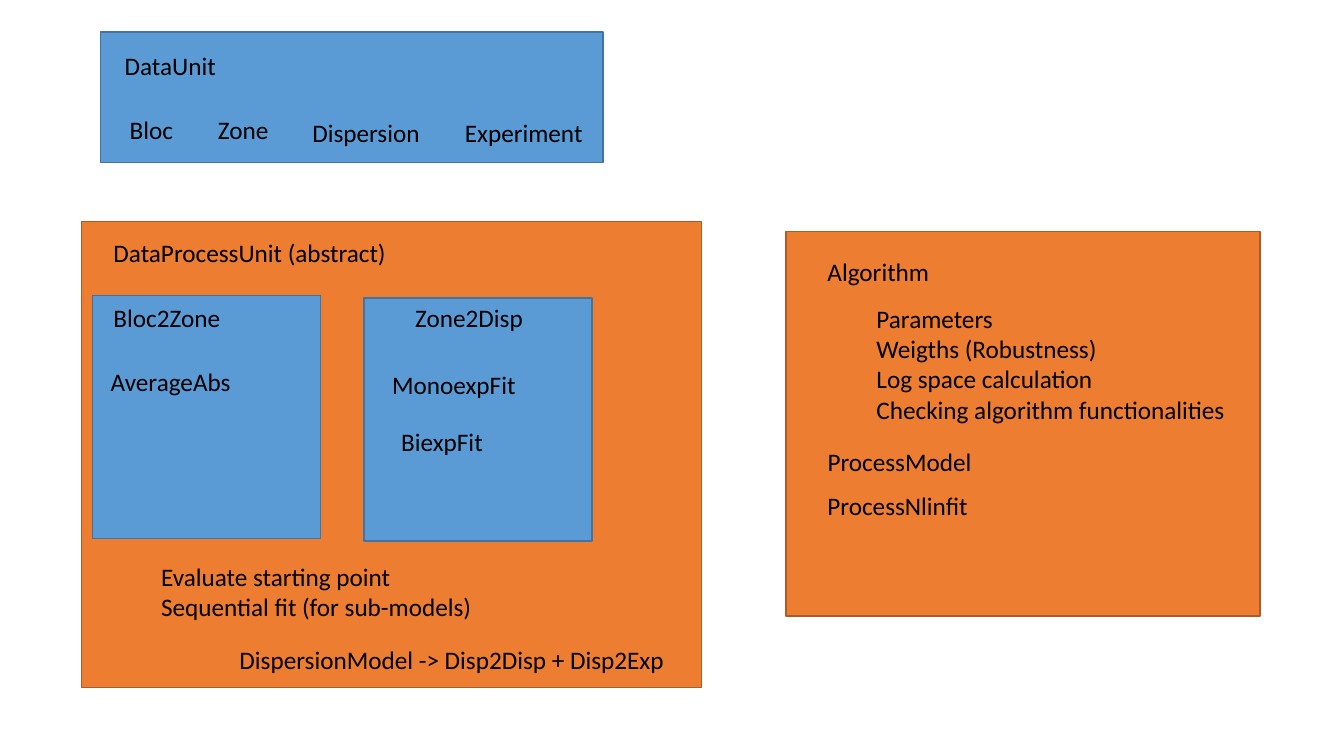
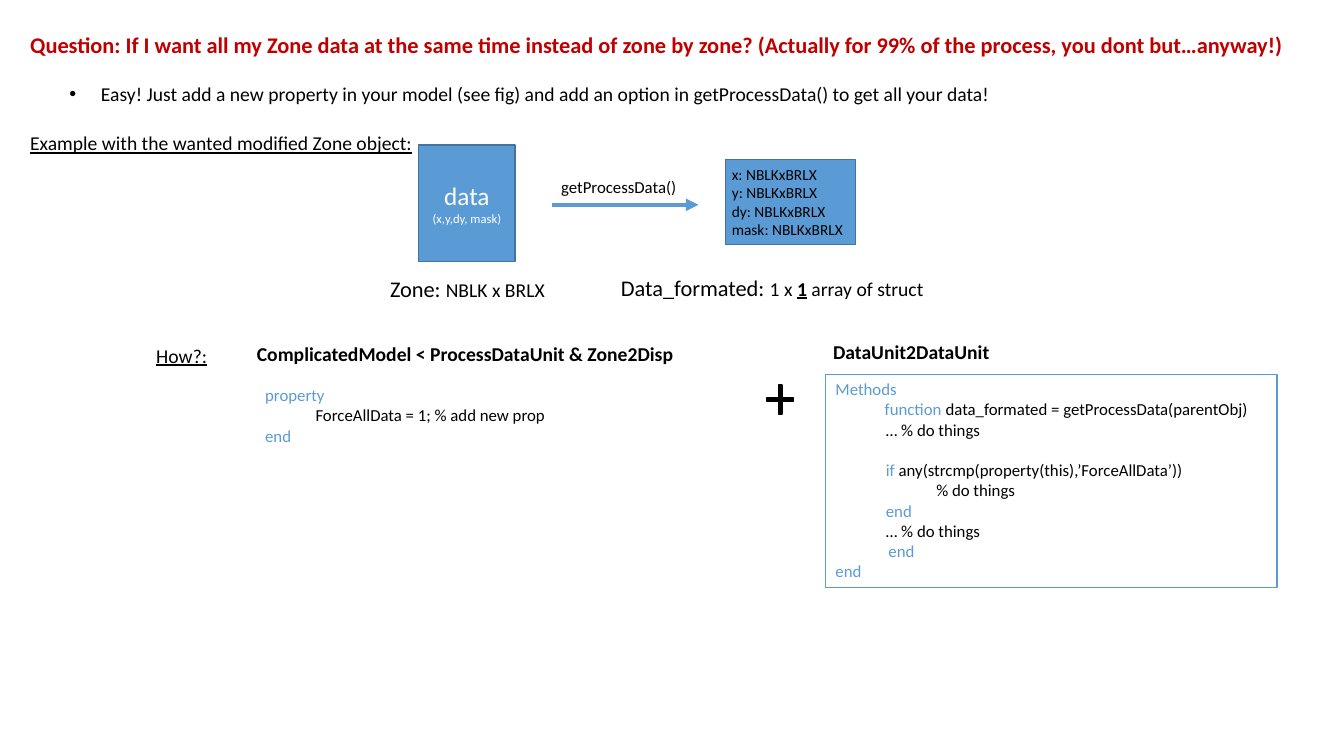
import pptx
import pptx.util
import pptx.dml.color
import pptx.enum.shapes
import pptx.enum.text
import pptx.oxml.ns
import lxml.etree

Pt = pptx.util.Pt
qn = pptx.oxml.ns.qn
SHAPES = pptx.enum.shapes.MSO_SHAPE
ANCHOR = pptx.enum.text.MSO_ANCHOR
ALIGN = pptx.enum.text.PP_ALIGN
FONT = "Calibri"
COLOURS = {
    "blue": "5B9BD5", "navy": "43739E", "orange": "ED7D31", "rust": "AF5C24",
    "red": "C00000", "black": "000000", "white": "FFFFFF",
}
EDGES = {"blue": "navy", "orange": "rust", "black": "black"}


def colour(name):
    return pptx.dml.color.RGBColor.from_string(COLOURS[name])


def style(run, size, ink="black", bold=False, under=False):
    font = run.font
    font.name, font.size = FONT, Pt(size)
    font.bold, font.underline = bold, under
    font.color.rgb = colour(ink)


def indent(para, hang):
    """Give the paragraph a bullet with a hanging indent."""
    props = para._p.get_or_add_pPr()
    props.set("marL", str(Pt(hang)))
    props.set("indent", str(-Pt(hang)))
    lxml.etree.SubElement(props, qn("a:buFont")).set("typeface", "Arial")
    lxml.etree.SubElement(props, qn("a:buChar")).set("char", "•")


def write(frame, text, size=18, align=ALIGN.LEFT, anchor=ANCHOR.TOP, wrap=True,
          hang=None, inset=7.2, gaps=None, **form):
    """Fill a frame: text is a string or a list of paragraphs.

    A paragraph is a string or a list of (string, run format) pairs;
    gaps maps a paragraph's index to the space before it.
    """
    frame.word_wrap = wrap
    frame.auto_size = pptx.enum.text.MSO_AUTO_SIZE.NONE
    frame.vertical_anchor = anchor
    frame.margin_left = frame.margin_right = Pt(inset)
    frame.margin_top = frame.margin_bottom = Pt(3.6)
    for index, line in enumerate([text] if isinstance(text, str) else text):
        para = frame.add_paragraph() if index else frame.paragraphs[0]
        para.alignment = align
        if gaps and index in gaps:
            para.space_before = Pt(gaps[index])
        if hang:
            indent(para, hang)
        for words, extra in [(line, {})] if isinstance(line, str) else line:
            run = para.add_run()
            run.text = words
            style(run, **{"size": size, **form, **extra})


def label(slide, area, text, **form):
    shape = slide.shapes.add_textbox(*map(Pt, area))
    write(shape.text_frame, text, **form)


def box(slide, area, fill="blue", edge=None, width=1, kind=SHAPES.RECTANGLE):
    shape = slide.shapes.add_shape(kind, *map(Pt, area))
    shape.shadow.inherit = False
    if fill:
        shape.fill.solid()
        shape.fill.fore_color.rgb = colour(fill)
    else:
        shape.fill.background()
    shape.line.color.rgb = colour(edge or EDGES[fill])
    shape.line.width = Pt(width)
    return shape


def arrow(slide, left, right, top):
    line = slide.shapes.add_connector(
        pptx.enum.shapes.MSO_CONNECTOR.STRAIGHT, Pt(left), Pt(top), Pt(right), Pt(top))
    line.line.color.rgb = colour("blue")
    line.line.width = Pt(3)
    lxml.etree.SubElement(line.line._get_or_add_ln(), qn("a:tailEnd")).set("type", "triangle")
    lxml.etree.SubElement(line._element.spPr, qn("a:effectLst"))


def title(slide, area, text, **form):
    shape = slide.shapes.title
    shape.left, shape.top, shape.width, shape.height = map(Pt, area)
    write(shape.text_frame, text, **form)


def classes(deck):
    slide = deck.slides.add_slide(deck.slide_layouts[6])
    for area, fill in [
        ((561.6, 165.6, 338.4, 274.5), "orange"),
        ((58.3, 158.4, 442.8, 332.6), "orange"),
        ((66, 211, 163, 173.5), "blue"),
        ((260, 213, 163, 173.5), "blue"),
        ((72, 23, 358.6, 93), "blue"),
    ]:
        box(slide, area, fill)
    for left, top, width, text in [
        (82, 32.5, 80.5, "DataUnit"),
        (85.5, 78, 46, "Bloc"),
        (148.5, 78, 51, "Zone"),
        (216, 80.5, 92, "Dispersion"),
        (325, 80.5, 99.5, "Experiment"),
        (74, 166, 211, "DataProcessUnit (abstract)"),
        (74, 212.5, 91.5, "Bloc2Zone"),
        (72, 258, 101, "AverageAbs"),
        (289.5, 212.5, 92, "Zone2Disp"),
        (273, 260, 103.5, "MonoexpFit"),
        (279.5, 301, 73.5, "BiexpFit"),
        (108, 397.5, 241, ["Evaluate starting point", "Sequential fit (for sub-models)"]),
        (164, 456.5, 321, "DispersionModel -> Disp2Disp + Disp2Exp"),
        (584, 179.5, 88, "Algorithm"),
        (619, 213, 266.5, ["Parameters", "Weigths (Robustness)", "Log space calculation",
                           "Checking algorithm functionalities"]),
        (584, 315.5, 118, "ProcessModel"),
        (584, 347, 116, "ProcessNlinfit"),
    ]:
        count = 1 if isinstance(text, str) else len(text)
        label(slide, (left, top, width, 7 + 22 * count), text, wrap=False)


def question(deck):
    slide = deck.slides.add_slide(deck.slide_layouts[5])
    title(slide, (14.4, 18.7, 940, 26.6),
          "Question: If I want all my Zone data at the same time instead of zone by zone? "
          "(Actually for 99% of the process, you dont but…anyway!)",
          size=16, ink="red", bold=True)
    label(slide, (42.5, 55, 746, 24.5),
          "Easy! Just add a new property in your model (see fig) and add an option in "
          "getProcessData() to get all your data!", size=14, hang=22.5)
    label(slide, (14.4, 90, 290, 24.5), "Example with the wanted modified Zone object:",
          size=14, under=True)

    data = box(slide, (299, 103.5, 69, 83.5))
    write(data.text_frame, [[("data ", {}), ("(x,y,dy, mask)", {"size": 9})]],
          ink="white", align=ALIGN.CENTER, anchor=ANCHOR.MIDDLE)
    label(slide, (271.5, 193, 214.5, 26.6),
          [[("Zone: ", {"size": 16}), ("NBLK x BRLX", {})]], size=14)
    arrow(slide, 394.5, 499, 146.3)
    label(slide, (379, 123, 126, 21.8), "getProcessData()", size=12, align=ALIGN.CENTER)
    struct = box(slide, (518.4, 114, 92.5, 60.5))
    write(struct.text_frame, [f"{name}: NBLKxBRLX" for name in ("x", "y", "dy", "mask")],
          size=11, anchor=ANCHOR.MIDDLE, inset=4.3)
    label(slide, (436.5, 192, 302.5, 26.6),
          [[("Data_formated: ", {"size": 16}), ("1 x ", {}),
            ("1", {"bold": True, "under": True}), (" array of struct", {})]], size=14)

    label(slide, (104.5, 242, 70, 24.5), "How?:", size=14, under=True)
    for left, top, text in [
        (176.4, 240.8, "ComplicatedModel < ProcessDataUnit & Zone2Disp"),
        (588, 239.2, "DataUnit2DataUnit"),
    ]:
        label(slide, (left, top, 360, 24.5), text, size=14, bold=True)
    key = {"ink": "blue"}
    label(slide, (182.3, 271.4, 322.5, 51),
          [[("property", key)], "\tForceAllData = 1; % add new prop", [("end", key)]], size=12)
    plus = box(slide, (544.3, 271.4, 26, 28), "black", kind=SHAPES.MATH_PLUS)
    plus.adjustments[0] = 0.11
    code = box(slide, (589.7, 267.2, 322.5, 152.6), None, "blue", 0.75)
    write(code.text_frame, [
        [("Methods", key)],
        [("             function ", key), ("data_formated = getProcessData(parentObj)", {})],
        "\t… % do things",
        [("\tif ", key), ("any(strcmp(property(this),’ForceAllData’))", {})],
        "\t\t% do things",
        [("\tend", key)],
        "\t… % do things",
        [("              end", key)],
        [("end", key)],
    ], size=12, gaps={3: 14.6})


def main():
    deck = pptx.Presentation()
    deck.slide_width, deck.slide_height = Pt(960), Pt(540)
    classes(deck)
    question(deck)
    deck.save("out.pptx")


if __name__ == "__main__":
    main()
